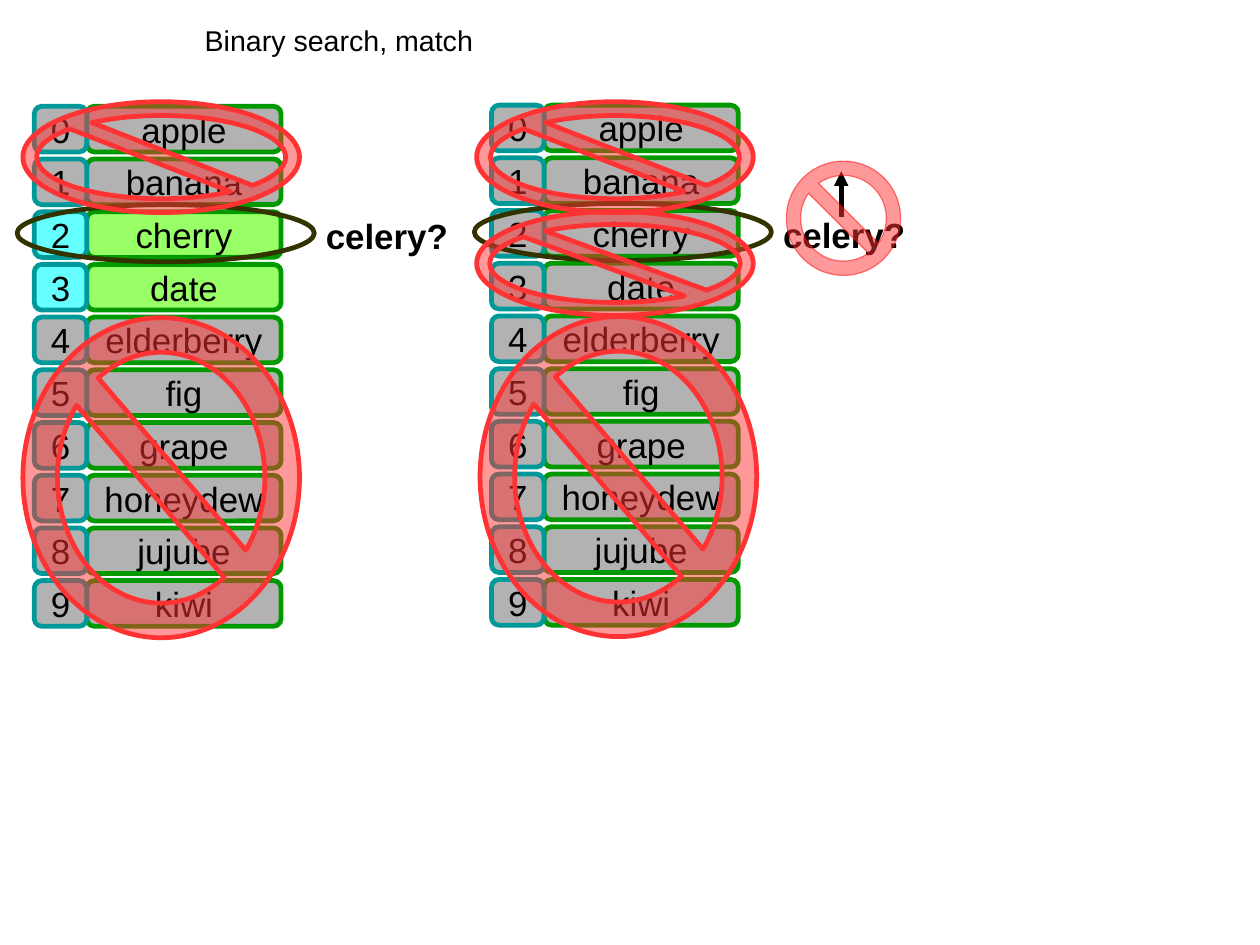
from dataclasses import dataclass

from lxml import etree
from pptx import Presentation
from pptx.dml.color import RGBColor
from pptx.enum import shapes, text
from pptx.oxml import ns
from pptx.util import Inches, Pt

CM_PER_INCH = 2.54
SLIDE_WIDTH, SLIDE_HEIGHT = 28 / CM_PER_INCH, 21 / CM_PER_INCH
FRUITS = ["apple", "banana", "cherry", "date", "elderberry",
          "fig", "grape", "honeydew", "jujube", "kiwi"]
ROW_HEIGHT = 0.4
ROW_PITCH = 4.15 / (len(FRUITS) - 1)
INDEX_WIDTH, FRUIT_WIDTH = 0.46, 1.7
GREY, BLACK, RED = "B2B2B2", "000000", "FF3333"


@dataclass(frozen=True)
class Box:
    left: float
    top: float
    width: float
    height: float

    def lengths(self) -> list:
        return [Inches(v) for v in (self.left, self.top, self.width, self.height)]


@dataclass(frozen=True)
class Column:
    """One part of every row: index or fruit."""
    labels: list
    offset: float
    width: float
    live_fill: str
    border: str


@dataclass(frozen=True)
class SearchStep:
    left: float
    top: float
    live_rows: tuple
    excluded: tuple


COLUMNS = [
    Column(FRUITS, INDEX_WIDTH, FRUIT_WIDTH, "99FF66", "009900"),
    Column([str(i) for i in range(len(FRUITS))], 0, INDEX_WIDTH, "66FFFF", "009999"),
]
STEPS = [
    SearchStep(0.3, 0.93, (2, 3),
               (Box(0.2, 2.78, 2.42, 2.8), Box(0.2, 0.89, 2.42, 0.97))),
    SearchStep(4.3, 0.92, (),
               (Box(4.2, 2.77, 2.42, 2.8), Box(4.17, 0.89, 2.42, 0.97),
                Box(4.17, 1.85, 2.42, 0.91))),
]


def rgb(value: str) -> RGBColor:
    return RGBColor.from_string(value)


def make_translucent(fill, percent: int) -> None:
    color = fill._xPr.find(ns.qn("a:solidFill"))[0]
    etree.SubElement(color, ns.qn("a:alpha"), val=str(percent * 1000))


def write(shape, words: str, size: float, bold: bool = False, inset: float = 0,
          anchor=text.MSO_ANCHOR.TOP) -> None:
    frame = shape.text_frame
    frame.text = words
    frame.word_wrap = False
    frame.vertical_anchor = anchor
    frame.margin_left = frame.margin_right = Inches(inset)
    frame.margin_top = frame.margin_bottom = Inches(inset)
    paragraph = frame.paragraphs[0]
    paragraph.alignment = text.PP_ALIGN.CENTER
    font = paragraph.runs[0].font
    font.name, font.size, font.bold = "Arial", Pt(size), bold
    font.color.rgb = rgb(BLACK)


def add_outline(slide, kind, box: Box, border: str, fill: str = "", weight: float = 3):
    shape = slide.shapes.add_shape(kind, *box.lengths())
    shape.shadow.inherit = False
    shape.line.color.rgb = rgb(border)
    shape.line.width = Pt(weight)
    if fill:
        shape.fill.solid()
        shape.fill.fore_color.rgb = rgb(fill)
    else:
        shape.fill.background()
    return shape


def add_prohibition(slide, box: Box, border: str = RED, weight: float = 3):
    sign = add_outline(slide, shapes.MSO_SHAPE.NO_SYMBOL, box, border, RED, weight)
    sign.adjustments[0] = 0.125
    make_translucent(sign.fill, 50)
    return sign


def add_step(slide, step: SearchStep) -> None:
    # Sorted list with its indices
    for column in COLUMNS:
        for row, label in enumerate(column.labels):
            box = Box(step.left + column.offset, step.top + row * ROW_PITCH,
                      column.width, ROW_HEIGHT)
            fill = column.live_fill if row in step.live_rows else GREY
            cell = add_outline(slide, shapes.MSO_SHAPE.ROUNDED_RECTANGLE,
                               box, column.border, fill)
            write(cell, label, 22, inset=0.02, anchor=text.MSO_ANCHOR.MIDDLE)

    # Probed row and the sought word
    probe = Box(step.left - 0.15, step.top + 0.86, 2.6, 0.5)
    add_outline(slide, shapes.MSO_SHAPE.OVAL, probe, "333300")
    query = Box(step.left + 2.55, step.top + 0.95, 1.07, 0.34)
    write(slide.shapes.add_textbox(*query.lengths()), "celery?", 22, bold=True)

    # Ranges ruled out
    for box in step.excluded:
        add_prohibition(slide, box)


def add_up_arrow(slide, x: float, bottom: float, top: float) -> None:
    arrow = slide.shapes.add_connector(
        shapes.MSO_CONNECTOR.STRAIGHT,
        Inches(x), Inches(bottom), Inches(x), Inches(top))
    arrow.line.color.rgb = rgb(BLACK)
    arrow.line.width = Pt(3)
    etree.SubElement(arrow.line._get_or_add_ln(), ns.qn("a:tailEnd"), type="triangle")
    etree.SubElement(arrow._element.spPr, ns.qn("a:effectLst"))


def main() -> None:
    deck = Presentation()
    deck.slide_width, deck.slide_height = Inches(SLIDE_WIDTH), Inches(SLIDE_HEIGHT)
    slide = deck.slides.add_slide(deck.slide_layouts[5])

    # Title
    title = slide.shapes.title
    title.left, title.top, title.width, title.height = Box(0.13, 0.2, 5.67, 0.28).lengths()
    write(title, "Binary search, match", 18)
    title.text_frame.auto_size = text.MSO_AUTO_SIZE.NONE

    # No match: nowhere left to look
    add_up_arrow(slide, 7.36, 1.9, 1.5)
    for step in STEPS:
        add_step(slide, step)
    no_match = add_prohibition(slide, Box(6.88, 1.41, 1, 1), "FF0000", 0)
    make_translucent(no_match.line.fill, 50)

    deck.save("out.pptx")


if __name__ == "__main__":
    main()
